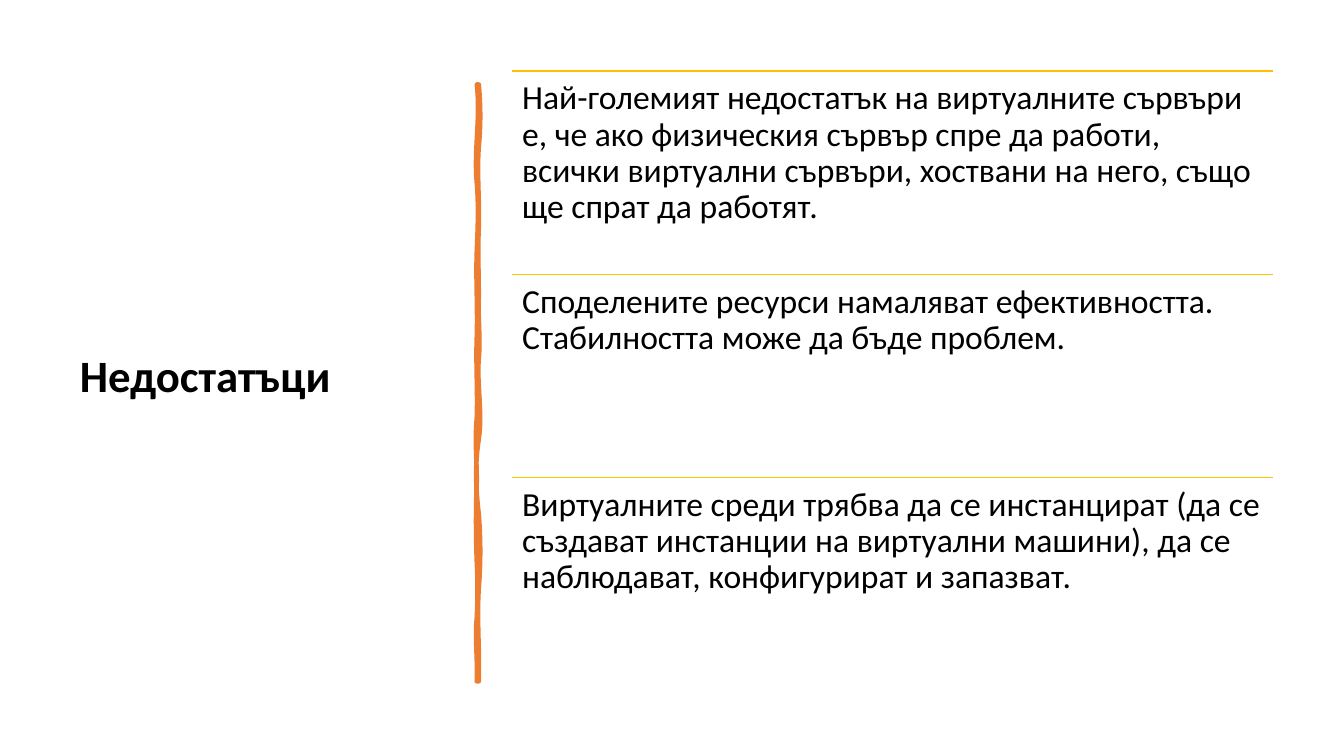
import pptx
import pptx.util
import pptx.dml.color
import pptx.enum.text
import pptx.enum.shapes
import pptx.oxml

Cm, Pt = pptx.util.Cm, pptx.util.Pt
RGB = pptx.dml.color.RGBColor
ANCHOR = pptx.enum.text.MSO_ANCHOR
NS = 'xmlns:a="http://schemas.openxmlformats.org/drawingml/2006/main"'

# Content
TITLE = "Недостатъци"
POINTS = [
    "Най-големият недостатък на виртуалните сървъри е, че ако физическия сървър "
    "спре да работи, всички виртуални сървъри, хоствани на него, също ще спрат да работят.",
    "Споделените ресурси намаляват ефективността. Стабилността може да бъде проблем.",
    "Виртуалните среди трябва да се инстанцират (да се създават инстанции на "
    "виртуални машини), да се наблюдават, конфигурират и запазват.",
]

# Colours
BLACK = RGB(0, 0, 0)
ORANGE = RGB(0xED, 0x7D, 0x31)
GOLD = RGB(0xFF, 0xC0, 0x00)

# Brush stroke, drawn flat and then turned upright.
# Each wave is (end in cm along the stroke, first bend, second bend).
LONG, THICK, MID_X, MID_Y = 15.04, 0.05, 12.04, 9.65
UNIT, BEND = 1000, 25
EDGE = (
    [(1.58, 2, 2), (3.61, -2, 1), (5.34, -1, 0), (6.91, -1, 2),
     (8.94, -2, 4), (10.82, -4, -3), (12.7, 2, 2), (LONG, -2, 1)],
    [(13.44, 1, -2), (12.02, 1, 1), (9.99, -1, -1), (8.41, 0, -2),
     (6.38, 1, -1), (4.22, 1, -1), (2.47, 1, 2), (0, -3, 4)],
)
BODY = (
    [(1.73, 0, -3), (3.15, 2, -1), (5.34, 1, -1), (7.06, 1, -2),
     (8.79, 2, 2), (10.98, -3, 0), (12.55, 0, -1), (LONG, 1, -1)],
    [(13.44, -3, 1), (11.56, -1, 2), (9.83, -2, 3), (7.67, -3, 4),
     (5.49, -4, 1), (3.92, -2, -2), (2.04, 1, 1), (0, -2, 2)],
)

# List grid
LIST_X, LIST_Y, LIST_W, ROW_H = 12.91, 1.79, 19.17, 5.12


def put_text(shape, text, size=24, bold=False, anchor=ANCHOR.TOP):
    frame = shape.text_frame
    frame.word_wrap = True
    frame.auto_size = pptx.enum.text.MSO_AUTO_SIZE.NONE
    frame.vertical_anchor = anchor
    frame.text = text
    par = frame.paragraphs[0]
    par.alignment = pptx.enum.text.PP_ALIGN.LEFT
    par.line_spacing = 0.9
    font = par.runs[0].font
    font.name, font.size, font.bold = "Calibri", Pt(size), bold
    font.color.rgb = BLACK
    return frame


def make_path(sides, flag):
    """One closed outline of curves: out along one side, back along the other."""
    wide, high = round(LONG * UNIT), round(THICK * UNIT)

    def dot(x, y):
        return f'<a:pt x="{round(x)}" y="{round(y)}"/>'

    def curve(*dots):
        return "<a:cubicBezTo>" + "".join(dots) + "</a:cubicBezTo>"

    x, parts = 0, [f"<a:moveTo>{dot(0, 0)}</a:moveTo>"]
    for base, waves in zip((0, high), sides):
        for end, one, two in waves:
            far = end * UNIT
            third = (far - x) / 3
            parts.append(curve(dot(x + third, base - BEND * one),
                               dot(far - third, base - BEND * two),
                               dot(far, base)))
            x = far
        cap = high - base
        parts.append(curve(dot(x, high / 2), dot(x, high / 2), dot(x, cap)))
    return pptx.oxml.parse_xml(
        f'<a:path {NS} w="{wide}" h="{high}" {flag}>{"".join(parts)}<a:close/></a:path>')


def add_stroke(slide):
    left, top = MID_X - LONG / 2, MID_Y - THICK / 2
    maker = slide.shapes.build_freeform(Cm(left), Cm(top))
    maker.add_line_segments([(Cm(left + LONG), Cm(top)),
                             (Cm(left + LONG), Cm(top + THICK)),
                             (Cm(left), Cm(top + THICK))])
    stroke = maker.convert_to_shape()
    paths = stroke._element.spPr.find(".//" + pptx.oxml.ns.qn("a:pathLst"))
    paths.remove(paths[0])
    paths.append(make_path(EDGE, 'fill="none"'))
    paths.append(make_path(BODY, 'stroke="0"'))
    stroke.rotation = 90
    stroke.shadow.inherit = False
    stroke.fill.solid()
    stroke.fill.fore_color.rgb = ORANGE
    stroke.line.color.rgb = ORANGE
    stroke.line.width = Pt(3.25)
    stroke.line._get_or_add_ln().append(pptx.oxml.parse_xml(f"<a:round {NS}/>"))


def add_rule(shapes, y):
    rule = shapes.add_connector(
        pptx.enum.shapes.MSO_CONNECTOR.STRAIGHT,
        Cm(LIST_X), Cm(y), Cm(LIST_X + LIST_W), Cm(y))
    rule.line.color.rgb = GOLD
    rule.line.width = Pt(1)
    rule._element.spPr.append(pptx.oxml.parse_xml(f"<a:effectLst {NS}/>"))


def main():
    deck = pptx.Presentation()
    deck.slide_width, deck.slide_height = Cm(33.87), Cm(19.05)
    slide = deck.slides.add_slide(deck.slide_layouts[5])

    # Title
    title = slide.shapes.title
    title.left, title.top = Cm(1.76), Cm(1.77)
    title.width, title.height = Cm(9.5), Cm(15.51)
    put_text(title, TITLE, size=32, bold=True, anchor=ANCHOR.MIDDLE)

    # Divider
    add_stroke(slide)

    # Points, each under its own rule
    group = slide.shapes.add_group_shape()
    for row, text in enumerate(POINTS):
        y = LIST_Y + row * ROW_H
        add_rule(group.shapes, y)
        box = group.shapes.add_textbox(Cm(LIST_X), Cm(y), Cm(LIST_W), Cm(ROW_H))
        frame = put_text(box, text)
        frame.margin_left = frame.margin_right = Cm(0.25)
        frame.margin_top = frame.margin_bottom = Cm(0.25)

    deck.save("out.pptx")


if __name__ == "__main__":
    main()
